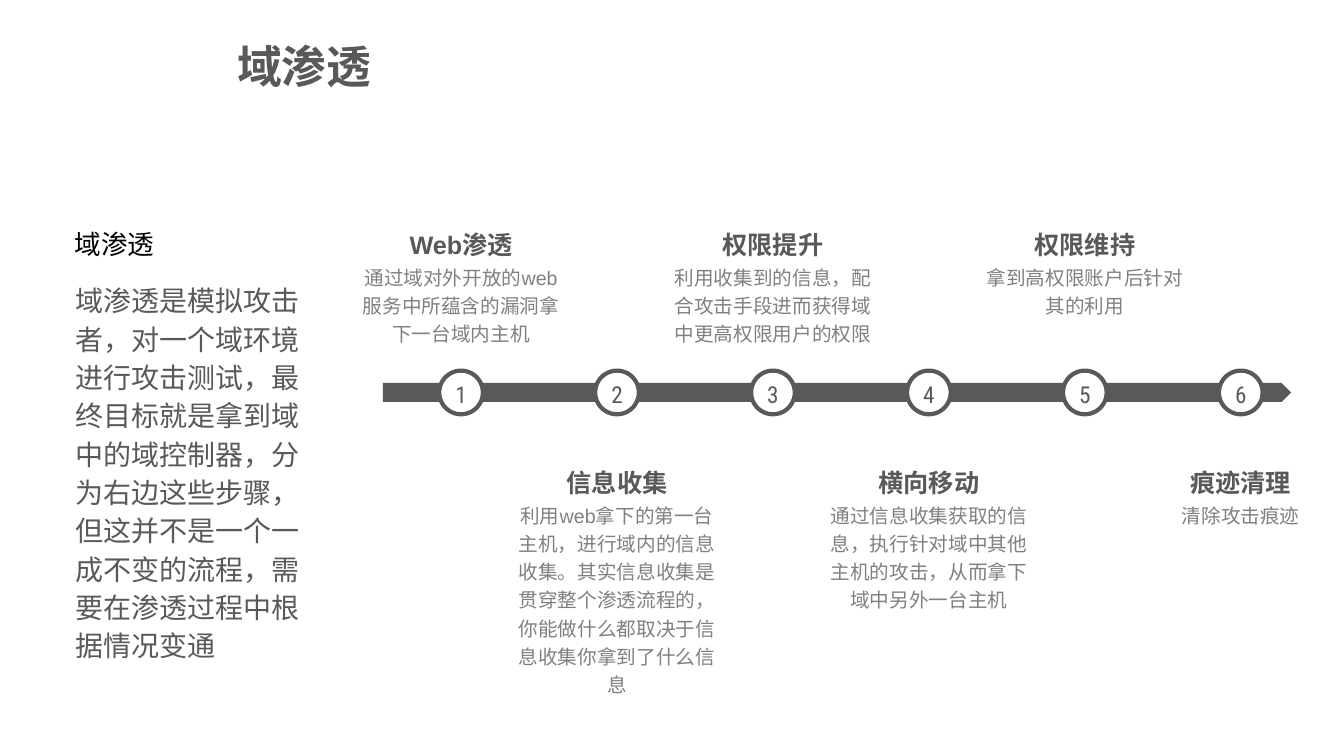
"""Build the slide with the six steps of a domain penetration test."""
from lxml.etree import SubElement
from pptx import Presentation
from pptx.dml.color import RGBColor
from pptx.enum.shapes import MSO_SHAPE
from pptx.enum.text import MSO_ANCHOR, MSO_AUTO_SIZE, PP_ALIGN
from pptx.oxml.ns import qn
from pptx.util import Cm, Pt

HUES = {"dark": "595959", "grey": "808080", "white": "FFFFFF", "black": "000000"}
STEPS = [
    ("Web渗透", "通过域对外开放的web服务中所蕴含的漏洞拿下一台域内主机", 2.34),
    ("信息收集", "利用web拿下的第一台主机，进行域内的信息收集。其实信息收集是贯穿整个渗透流程的，你能做什么都取决于信息收集你拿到了什么信息", 5.21),
    ("权限提升", "利用收集到的信息，配合攻击手段进而获得域中更高权限用户的权限", 2.34),
    ("横向移动", "通过信息收集获取的信息，执行针对域中其他主机的攻击，从而拿下域中另外一台主机", 3.07),
    ("权限维持", "拿到高权限账户后针对其的利用", 1.63),
    ("痕迹清理", "清除攻击痕迹", 0.91),
]


def write(shape, text, size, hue="dark", font="Arial", bold=False,
          align=PP_ALIGN.CENTER, space=1.0, anchor=MSO_ANCHOR.TOP, wrap=True):
    frame = shape.text_frame
    frame.auto_size = MSO_AUTO_SIZE.NONE
    frame.word_wrap = wrap
    frame.vertical_anchor = anchor
    para = frame.paragraphs[0]
    para.alignment = align
    para.line_spacing = space
    para.space_before = Pt(0)
    run = para.add_run()
    run.text = text
    run.font.size = Pt(size)
    run.font.bold = bold
    run.font.name = font
    run.font.color.rgb = RGBColor.from_string(HUES[hue])
    east = SubElement(run.font._element, qn("a:ea"))
    east.set("typeface", "Noto Sans CJK SC")
    return para


def place(shape, left, top, width, height):
    shape.left, shape.top = Cm(left), Cm(top)
    shape.width, shape.height = Cm(width), Cm(height)


deck = Presentation()
deck.slide_width, deck.slide_height = Cm(33.87), Cm(19.05)
slide = deck.slides.add_slide(deck.slide_layouts[1])
shapes = slide.shapes

title = shapes.title
place(title, 5.72, 0.84, 3.94, 1.63)
write(title, "域渗透", 32, font="Noto Sans CJK SC", bold=True,
      align=PP_ALIGN.LEFT, wrap=False)

body = slide.placeholders[1]
place(body, 1.65, 6.91, 6.32, 10.01)
para = write(body, "域渗透是模拟攻击者，对一个域环境进行攻击测试，最终目标就是拿到域中的域控制器，分为右边这些步骤，但这并不是一个一成不变的流程，需要在渗透过程中根据情况变通",
             20, align=PP_ALIGN.LEFT, space=1.14)
props = para._p.get_or_add_pPr()
props.set("marL", "0")
props.set("indent", "0")
SubElement(props, qn("a:buNone"))

label = shapes.add_textbox(Cm(1.63), Cm(5.61), Cm(2.54), Cm(1.07))
write(label, "域渗透", 19, hue="black", align=PP_ALIGN.LEFT, wrap=False)

axis = 9.89
bar = shapes.add_shape(MSO_SHAPE.PENTAGON, Cm(9.65), Cm(axis - 0.24), Cm(22.89), Cm(0.48))
bar.shadow.inherit = False
bar.fill.solid()
bar.fill.fore_color.rgb = RGBColor.from_string(HUES["dark"])
bar.line.fill.background()

first, pitch, disc = 11.62, 3.93, 1.1
for i, (head, note, tall) in enumerate(STEPS):
    mid = first + i * pitch
    top = 5.51 + 6 * (i % 2)

    dot = shapes.add_shape(MSO_SHAPE.OVAL, Cm(mid - disc / 2), Cm(axis - disc / 2),
                           Cm(disc), Cm(disc))
    dot.shadow.inherit = False
    dot.fill.solid()
    dot.fill.fore_color.rgb = RGBColor.from_string(HUES["white"])
    dot.line.color.rgb = RGBColor.from_string(HUES["dark"])
    dot.line.width = Pt(3)
    frame = dot.text_frame
    frame.margin_left = frame.margin_right = frame.margin_top = frame.margin_bottom = 0
    write(dot, str(i + 1), 16.6, font="Roboto Condensed", space=1.1,
          anchor=MSO_ANCHOR.MIDDLE)

    box = shapes.add_textbox(Cm(mid - 2.8), Cm(top + 0.94), Cm(5.6), Cm(tall))
    write(box, note, 14, hue="grey", space=1.2)
    box = shapes.add_textbox(Cm(mid - 3.11), Cm(top), Cm(6.22), Cm(1.09))
    write(box, head, 18, bold=True, space=1.2)

deck.save("out.pptx")
